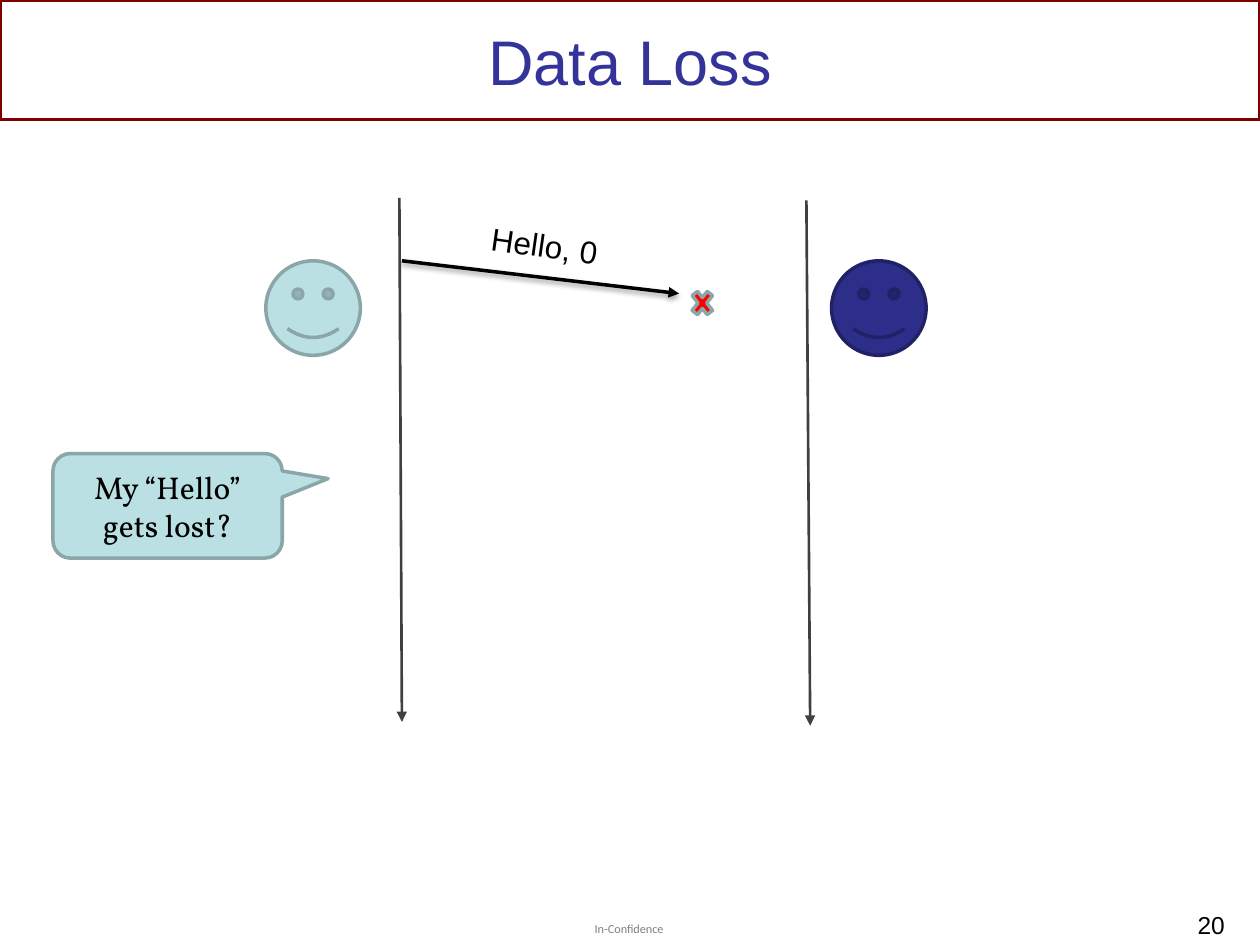
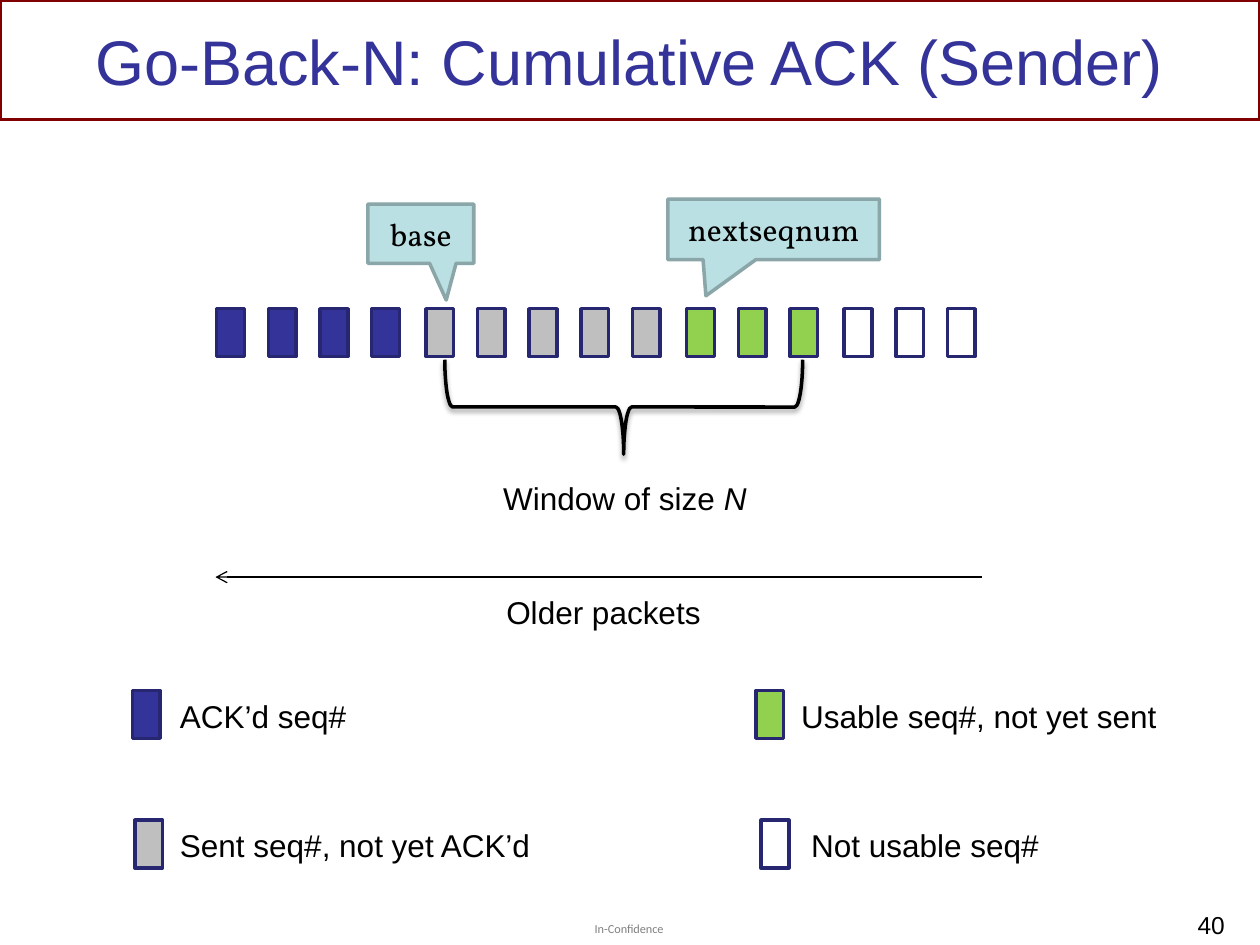
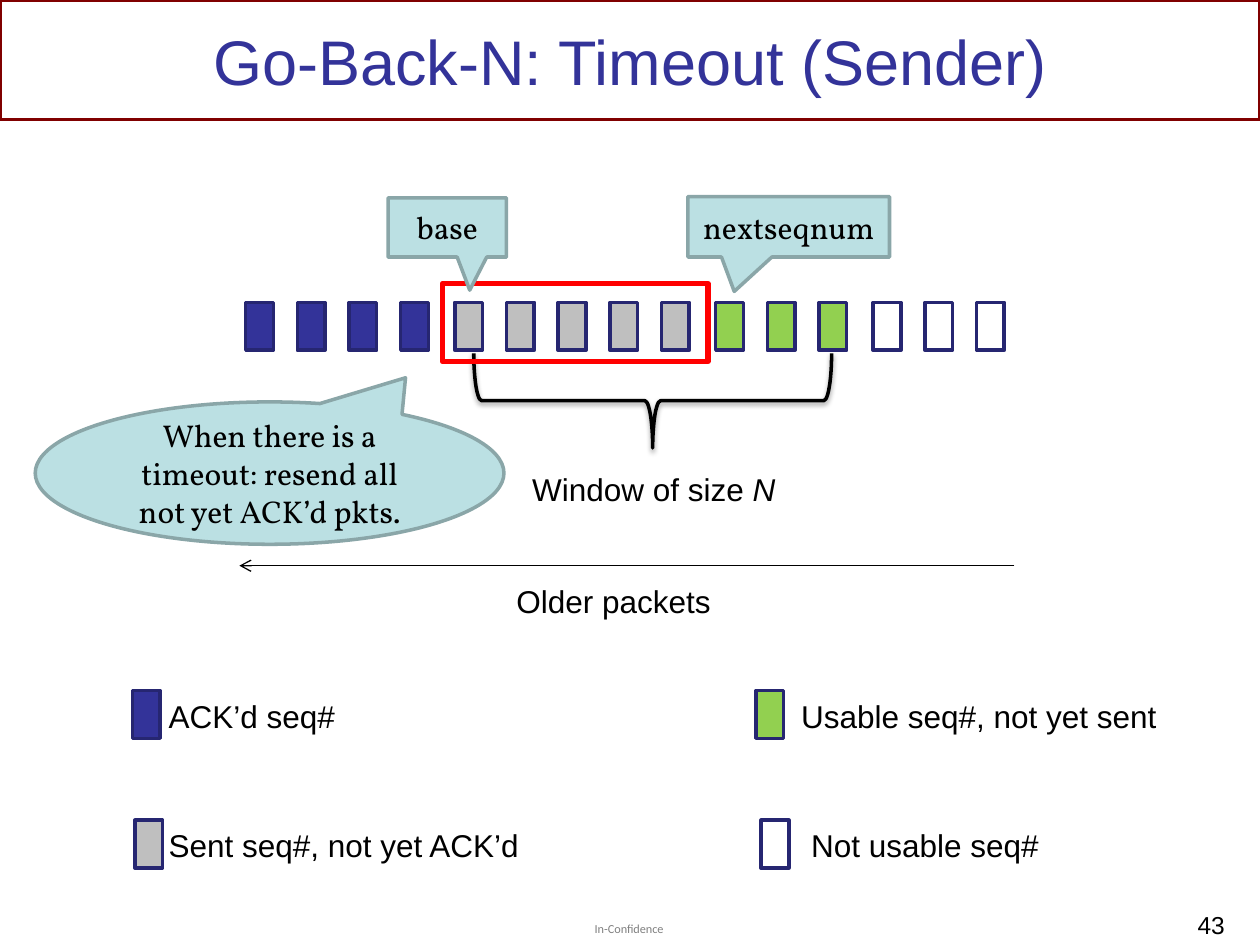
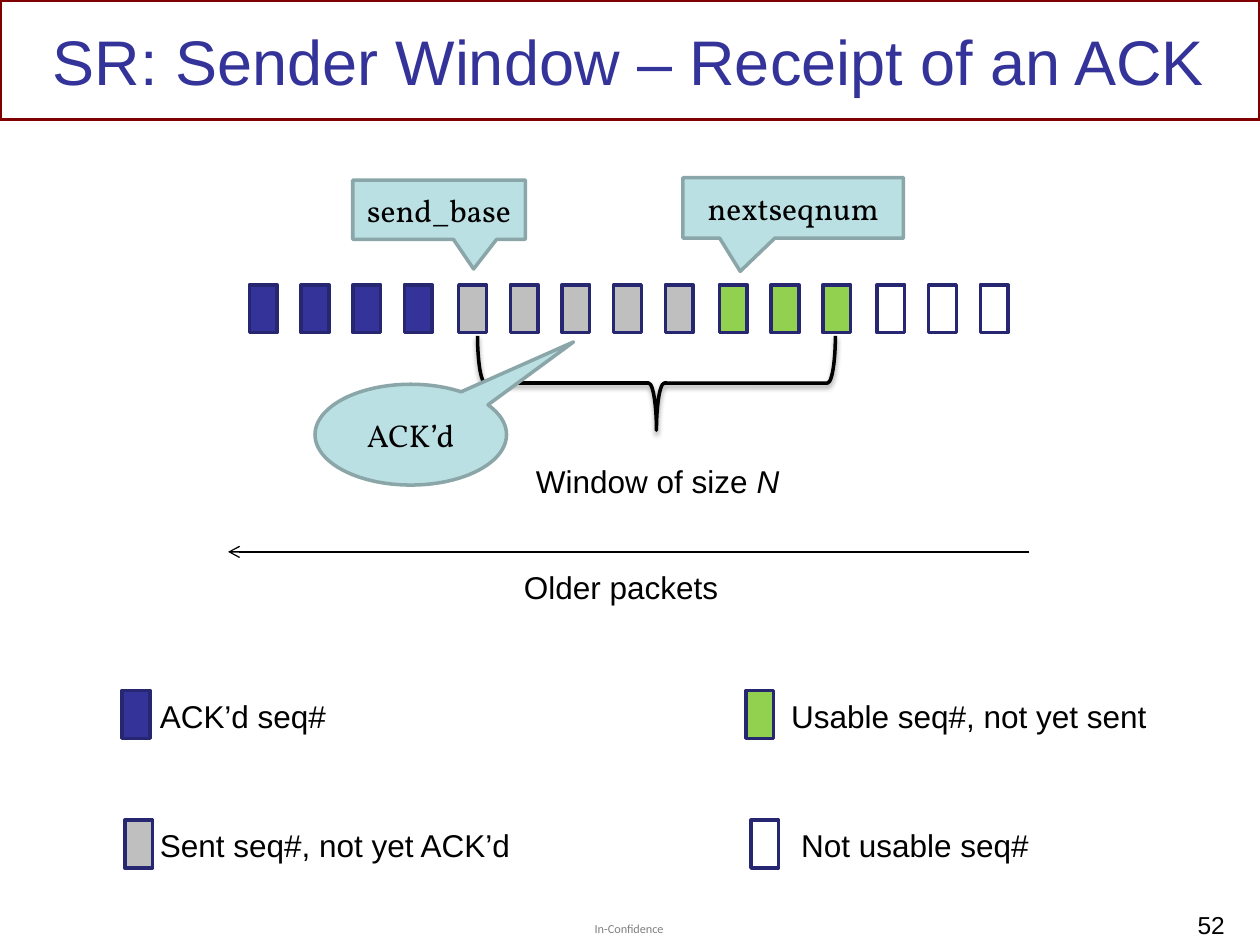
from dataclasses import dataclass
from typing import Optional

from pptx import Presentation
from pptx.dml.color import RGBColor
from pptx.enum.shapes import MSO_CONNECTOR, MSO_SHAPE
from pptx.enum.text import MSO_ANCHOR, MSO_AUTO_SIZE, PP_ALIGN
from pptx.oxml import parse_xml
from pptx.oxml.ns import nsdecls, qn
from pptx.util import Inches, Pt

COLORS = {
    "band": "800000", "title": "333399", "text": "000000", "footer": "808080",
    "bubble": "BBE0E3", "bubble_line": "8AA6A8",
    "receiver": "2D2D8A", "receiver_line": "212166", "timeline": "404040",
    "acked": "333399", "sent": "BFBFBF", "usable": "92D050", "unusable": "FFFFFF",
    "packet_line": "262671", "alert": "FF0000",
}
PACKET_RUNS = (("acked", 4), ("sent", 5), ("usable", 3), ("unusable", 3))
PACKET_WIDTH, PACKET_HEIGHT = 0.22, 0.38
PACKET_PITCH, STATE_GAP = 0.41, 0.02


@dataclass(frozen=True)
class Callout:
    kind: MSO_SHAPE
    place: tuple[float, float, float, float]
    tip: tuple[float, float]
    text: str


@dataclass(frozen=True)
class Arrow:
    start: tuple[float, float]
    end: tuple[float, float]
    color: str = "text"
    width: float = 0.75
    head: str = "triangle"
    shadow: bool = False


@dataclass(frozen=True)
class WindowPage:
    title: str
    number: int
    title_place: tuple[float, float]
    row: tuple[float, float]
    window_label_top: float
    callouts: tuple[Callout, ...]
    older_arrow: Arrow
    older_label_left: float
    legend_left: float
    legend_label_gap: float
    resend_frame: Optional[tuple[float, float, float, float]] = None


# Basic drawing
def rgb(name: str) -> RGBColor:
    return RGBColor.from_string(COLORS[name])


def write_text(frame, text: str, *, size: float = 18, font: str = "Arial", color: str = "text",
               align=PP_ALIGN.LEFT, anchor=MSO_ANCHOR.TOP, wrap: bool = True,
               italic_end: str = "") -> None:
    frame.word_wrap = wrap
    frame.vertical_anchor = anchor
    para = frame.paragraphs[0]
    para.alignment = align
    for part, italic in ((text, False), (italic_end, True)):
        if part:
            span = para.add_run()
            span.text = part
            span.font.size = Pt(size)
            span.font.name = font
            span.font.italic = italic
            span.font.color.rgb = rgb(color)


def add_text(page, place, text: str, **text_format):
    box = page.shapes.add_textbox(*map(Inches, place))
    write_text(box.text_frame, text, **text_format)
    return box


def add_label(page, left: float, top: float, width: float, text: str, **text_format):
    box = add_text(page, (left, top, width, 0.4), text, wrap=False, **text_format)
    box.text_frame.auto_size = MSO_AUTO_SIZE.SHAPE_TO_FIT_TEXT
    return box


def add_figure(page, kind: MSO_SHAPE, place, *, line: str, fill: Optional[str] = None,
               width: float = 2):
    figure = page.shapes.add_shape(kind, *map(Inches, place))
    figure.shadow.inherit = False
    if fill:
        figure.fill.solid()
        figure.fill.fore_color.rgb = rgb(fill)
    else:
        figure.fill.background()
    figure.line.color.rgb = rgb(line)
    figure.line.width = Pt(width)
    return figure


def add_shadow(effects) -> None:
    effects.append(parse_xml(
        f'<a:outerShdw {nsdecls("a")} blurRad="{Pt(3.1)}" dist="{Pt(1.6)}" dir="5400000"'
        f' rotWithShape="0"><a:srgbClr val="{COLORS["text"]}"><a:alpha val="38000"/>'
        '</a:srgbClr></a:outerShdw>'))


def add_arrow(page, arrow: Arrow) -> None:
    connector = page.shapes.add_connector(
        MSO_CONNECTOR.STRAIGHT, *map(Inches, arrow.start + arrow.end))
    connector.line.color.rgb = rgb(arrow.color)
    connector.line.width = Pt(arrow.width)
    properties = connector.element.spPr
    properties.find(qn("a:ln")).append(
        parse_xml(f'<a:tailEnd {nsdecls("a")} type="{arrow.head}"/>'))
    effects = parse_xml(f'<a:effectLst {nsdecls("a")}/>')
    properties.append(effects)
    if arrow.shadow:
        add_shadow(effects)


def add_callout(page, callout: Callout) -> None:
    bubble = add_figure(page, callout.kind, callout.place, fill="bubble", line="bubble_line")
    bubble.adjustments[0], bubble.adjustments[1] = callout.tip
    write_text(bubble.text_frame, callout.text, font="Vollkorn",
               align=PP_ALIGN.CENTER, anchor=MSO_ANCHOR.MIDDLE)


# Shared frame: title band, footer and page number
def add_page(deck, title: str, number: int, title_place=(0.5, 9)):
    page = deck.slides.add_slide(deck.slide_layouts[6])
    add_figure(page, MSO_SHAPE.RECTANGLE, (0, 0, 10, 0.95), line="band")
    footer = add_text(page, (4.72, 7.31, 0.57, 0.12), "In-Confidence", size=7,
                      font="Calibri", color="footer", wrap=False)
    frame = footer.text_frame
    frame.margin_left = frame.margin_right = frame.margin_top = frame.margin_bottom = 0
    left, width = title_place
    add_text(page, (left, 0.08, width, 0.79), title, size=36, color="title",
             align=PP_ALIGN.CENTER, anchor=MSO_ANCHOR.MIDDLE)
    add_text(page, (7.62, 7.17, 2.2, 0.3), str(number), size=14, align=PP_ALIGN.RIGHT)
    return page


# Sliding window diagram
def add_packet(page, left: float, top: float, state: str) -> None:
    add_figure(page, MSO_SHAPE.RECTANGLE, (left, top, PACKET_WIDTH, PACKET_HEIGHT),
               fill=state, line="packet_line")


def add_packet_row(page, left: float, top: float) -> None:
    for state, count in PACKET_RUNS:
        for _ in range(count):
            add_packet(page, left, top, state)
            left += PACKET_PITCH
        left += STATE_GAP


def add_window_brace(page, row_left: float, row_top: float, label_top: float) -> None:
    depth, span = 0.75, 2.84
    center_x, center_y = row_left + 3.23, row_top + 0.78
    brace = add_figure(page, MSO_SHAPE.RIGHT_BRACE,
                       (center_x - depth / 2, center_y - span / 2, depth, span), line="text")
    brace.rotation = 90
    add_shadow(brace.element.spPr.find(qn("a:effectLst")))
    label_width = 2.15
    add_label(page, center_x + 0.02 - label_width / 2, label_top, label_width,
              "Window of size ", italic_end="N")


def add_legend(page, left: float, label_gap: float) -> None:
    top, bottom = 5.48, 6.51
    entries = (
        ("acked", 0, label_gap, top, 1.53, "ACK’d seq#"),
        ("sent", 0.02, label_gap, bottom, 3.01, "Sent seq#, not yet ACK’d"),
        ("usable", 4.95, 5.21, top, 3.05, "Usable seq#, not yet sent"),
        ("unusable", 4.99, 5.29, bottom, 2.03, "Not usable seq#"),
    )
    for state, swatch_x, label_x, y, width, text in entries:
        add_packet(page, left + swatch_x, y, state)
        add_label(page, left + label_x, y, width, text)


def add_window_page(deck, content: WindowPage) -> None:
    page = add_page(deck, content.title, content.number, content.title_place)
    add_packet_row(page, *content.row)
    add_window_brace(page, *content.row, content.window_label_top)
    if content.resend_frame:
        add_figure(page, MSO_SHAPE.RECTANGLE, content.resend_frame, line="alert", width=3)
    for callout in content.callouts:
        add_callout(page, callout)
    add_arrow(page, content.older_arrow)
    add_label(page, content.older_label_left, content.older_arrow.start[1] + 0.08, 1.76,
              "Older packets")
    add_legend(page, content.legend_left, content.legend_label_gap)


# Message exchange diagram
def add_data_loss_page(deck) -> None:
    page = add_page(deck, "Data Loss", 20)
    for left, fill, line in ((2.11, "bubble", "bubble_line"),
                             (6.6, "receiver", "receiver_line")):
        add_figure(page, MSO_SHAPE.SMILEY_FACE, (left, 2.07, 0.75, 0.75), fill=fill, line=line)
    add_arrow(page, Arrow((3.19, 2.07), (5.39, 2.33), width=2, shadow=True))
    add_label(page, 3.8, 1.75, 1.06, "Hello, 0").rotation = 8.3
    for start, end in (((3.17, 1.57), (3.19, 5.73)), ((6.4, 1.59), (6.43, 5.76))):
        add_arrow(page, Arrow(start, end, color="timeline", width=1.5))
    add_figure(page, MSO_SHAPE.MATH_MULTIPLY, (5.46, 2.26, 0.23, 0.29),
               fill="alert", line="bubble_line")
    add_callout(page, Callout(MSO_SHAPE.ROUNDED_RECTANGULAR_CALLOUT, (0.42, 3.6, 1.82, 0.83),
                              (0.7, -0.26), "My “Hello” gets lost?"))


RECT, OVAL = MSO_SHAPE.RECTANGULAR_CALLOUT, MSO_SHAPE.OVAL_CALLOUT
WINDOW_PAGES = (
    WindowPage(
        "Go-Back-N: Cumulative ACK (Sender)", 40, (0, 9.99), (1.72, 2.45), 3.75,
        (Callout(RECT, (2.92, 1.62, 0.84, 0.47), (0.24, 1.12), "base"),
         Callout(RECT, (5.3, 1.58, 1.68, 0.48), (-0.32, 1.1), "nextseqnum")),
        Arrow((7.79, 4.58), (1.71, 4.58), head="arrow"), 3.92, 1.05, 0.28),
    WindowPage(
        "Go-Back-N: Timeout (Sender)", 43, (0.5, 9), (1.95, 2.4), 3.68,
        (Callout(RECT, (3.08, 1.57, 0.94, 0.47), (0.19, 1.06), "base"),
         Callout(RECT, (5.46, 1.56, 1.6, 0.48), (-0.27, 1.07), "nextseqnum"),
         Callout(OVAL, (0.28, 3.19, 3.72, 1.13), (0.29, -0.67),
                 "When there is a timeout: resend all not yet ACK’d pkts.")),
        Arrow((8.05, 4.49), (1.9, 4.49), head="arrow"), 4, 1.05, 0.19,
        resend_frame=(3.51, 2.25, 2.11, 0.62)),
    WindowPage(
        "SR: Sender Window – Receipt of an ACK", 52, (0, 9.98), (1.98, 2.26), 3.62,
        (Callout(RECT, (2.8, 1.43, 1.37, 0.47), (0.2, 1), "send_base"),
         Callout(RECT, (5.42, 1.41, 1.75, 0.48), (-0.24, 1.05), "nextseqnum"),
         Callout(OVAL, (2.5, 3.05, 1.52, 0.8), (0.85, -0.92), "ACK’d")),
        Arrow((8.17, 4.38), (1.81, 4.38), head="arrow"), 4.06, 0.97, 0.2),
)


def main() -> None:
    deck = Presentation()
    deck.slide_width, deck.slide_height = Inches(10), Inches(7.5)
    add_data_loss_page(deck)
    for content in WINDOW_PAGES:
        add_window_page(deck, content)
    deck.save("out.pptx")


if __name__ == "__main__":
    main()
